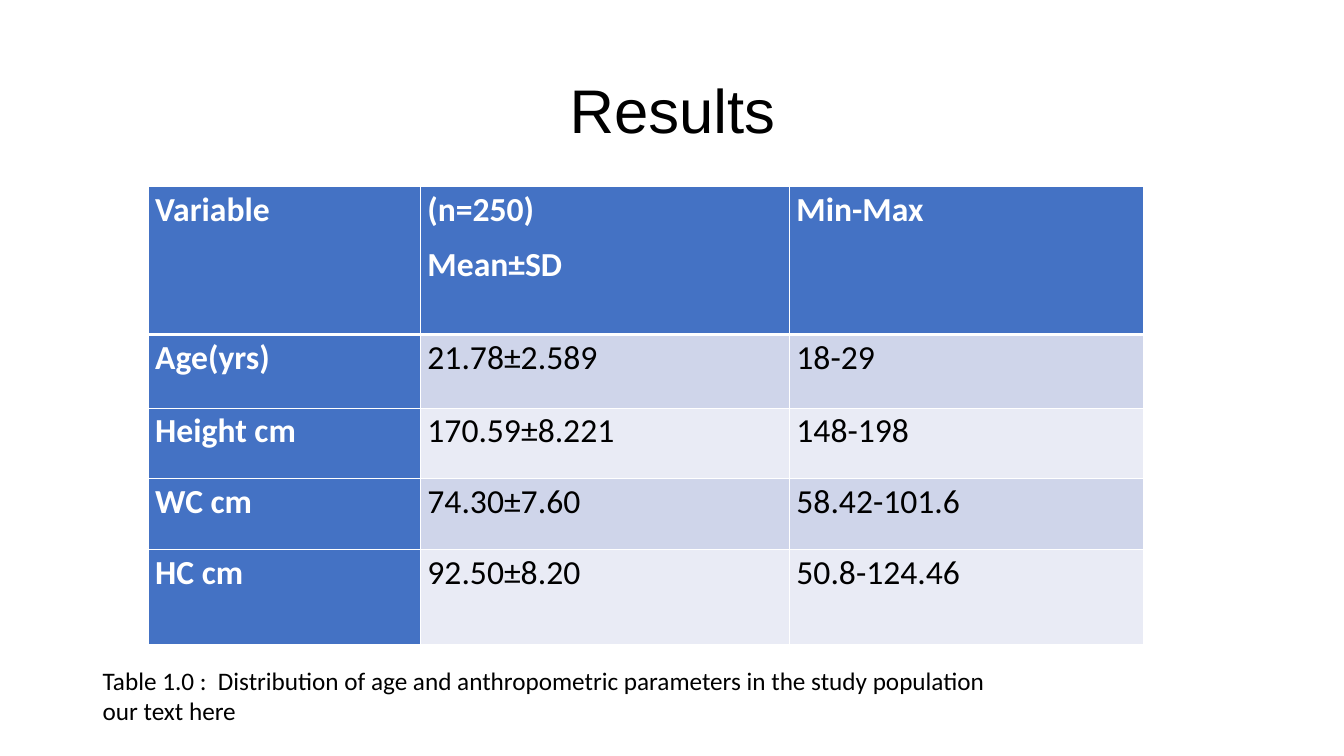
from dataclasses import dataclass

from lxml import etree
from pptx import Presentation
from pptx.dml.color import RGBColor
from pptx.enum.text import MSO_ANCHOR, PP_ALIGN
from pptx.oxml.ns import qn
from pptx.util import Inches, Pt

CENTER = PP_ALIGN.CENTER
MIDDLE = MSO_ANCHOR.MIDDLE


@dataclass(frozen=True)
class Theme:
    title_font: str = "Arial"
    body_font: str = "Calibri"
    title_size: int = 44
    table_size: int = 24
    caption_size: int = 18
    text: str = "000000"
    white: str = "FFFFFF"
    header: str = "4472C4"
    bands: tuple = ("CFD5EA", "E9EBF5")
    thin_rule: int = 1
    thick_rule: int = 3


THEME = Theme()

TITLE = "Results"
ROWS = [
    ("Variable", "(n=250)\nMean±SD", "Min-Max"),
    ("Age(yrs)", "21.78±2.589", "18-29"),
    ("Height cm", "170.59±8.221", "148-198"),
    ("WC cm", "74.30±7.60", "58.42-101.6"),
    ("HC cm", "92.50±8.20", "50.8-124.46"),
]
COLUMN_WIDTHS = (2.7, 3.66, 3.51)
ROW_HEIGHTS = (1.47, 0.73, 0.7, 0.7, 0.95)
CAPTION = (
    "Table 1.0 :  Distribution of age and anthropometric parameters in the study population\n"
    "our text here"
)


def style_text(frame, font, size, color, bold=False):
    for para in frame.paragraphs:
        for span in para.runs:
            span.font.name = font
            span.font.size = Pt(size)
            span.font.bold = bold
            span.font.color.rgb = RGBColor.from_string(color)


def add_text(page, box, text, font, size):
    shape = page.shapes.add_textbox(*map(Inches, box))
    frame = shape.text_frame
    frame.word_wrap = True
    frame.text = text
    style_text(frame, font, size, THEME.text)
    return frame


def add_title(page, box):
    frame = add_text(page, box, TITLE, THEME.title_font, THEME.title_size)
    frame.vertical_anchor = MIDDLE
    para = frame.paragraphs[0]
    para.alignment = CENTER
    para.line_spacing = 0.9


def set_borders(cell, top, bottom):
    """Draw white rules on all four sides, with the given top and bottom widths."""
    properties = cell._tc.get_or_add_tcPr()
    widths = {"lnL": THEME.thin_rule, "lnR": THEME.thin_rule, "lnT": top, "lnB": bottom}
    for side, width in widths.items():
        line = etree.SubElement(properties, qn(f"a:{side}"), w=str(Pt(width)))
        fill = etree.SubElement(line, qn("a:solidFill"))
        etree.SubElement(fill, qn("a:srgbClr"), val=THEME.white)


def fill_cell(cell, text, row, column):
    is_heading = row == 0 or column == 0

    # Rules first: the schema puts them before the fill
    set_borders(
        cell,
        top=THEME.thick_rule if row == 1 else THEME.thin_rule,
        bottom=THEME.thick_rule if row == 0 else THEME.thin_rule,
    )
    cell.fill.solid()
    background = THEME.header if is_heading else THEME.bands[(row - 1) % 2]
    cell.fill.fore_color.rgb = RGBColor.from_string(background)

    # Text
    cell.margin_left = cell.margin_right = Inches(0.07)
    cell.margin_top = cell.margin_bottom = 0
    frame = cell.text_frame
    frame.text = text
    color = THEME.white if is_heading else THEME.text
    style_text(frame, THEME.body_font, THEME.table_size, color, is_heading)
    for para in frame.paragraphs:
        para.line_spacing = 1.07
        para.space_after = Pt(8)


def add_results_table(page, box):
    shape = page.shapes.add_table(len(ROWS), len(COLUMN_WIDTHS), *map(Inches, box))
    table = shape.table
    for column, width in zip(table.columns, COLUMN_WIDTHS):
        column.width = Inches(width)
    for row, height in zip(table.rows, ROW_HEIGHTS):
        row.height = Inches(height)
    for row, texts in enumerate(ROWS):
        for column, text in enumerate(texts):
            fill_cell(table.cell(row, column), text, row, column)


def add_caption(page, box):
    add_text(page, box, CAPTION, THEME.body_font, THEME.caption_size)


def main():
    deck = Presentation()
    deck.slide_width = Inches(13.33)
    deck.slide_height = Inches(7.5)
    page = deck.slides.add_slide(deck.slide_layouts[6])
    add_title(page, (0.92, 0.4, 11.5, 1.45))
    add_results_table(page, (1.47, 1.85, sum(COLUMN_WIDTHS), sum(ROW_HEIGHTS)))
    add_caption(page, (0.92, 6.55, 9.99, 0.71))
    deck.save("out.pptx")


if __name__ == "__main__":
    main()
